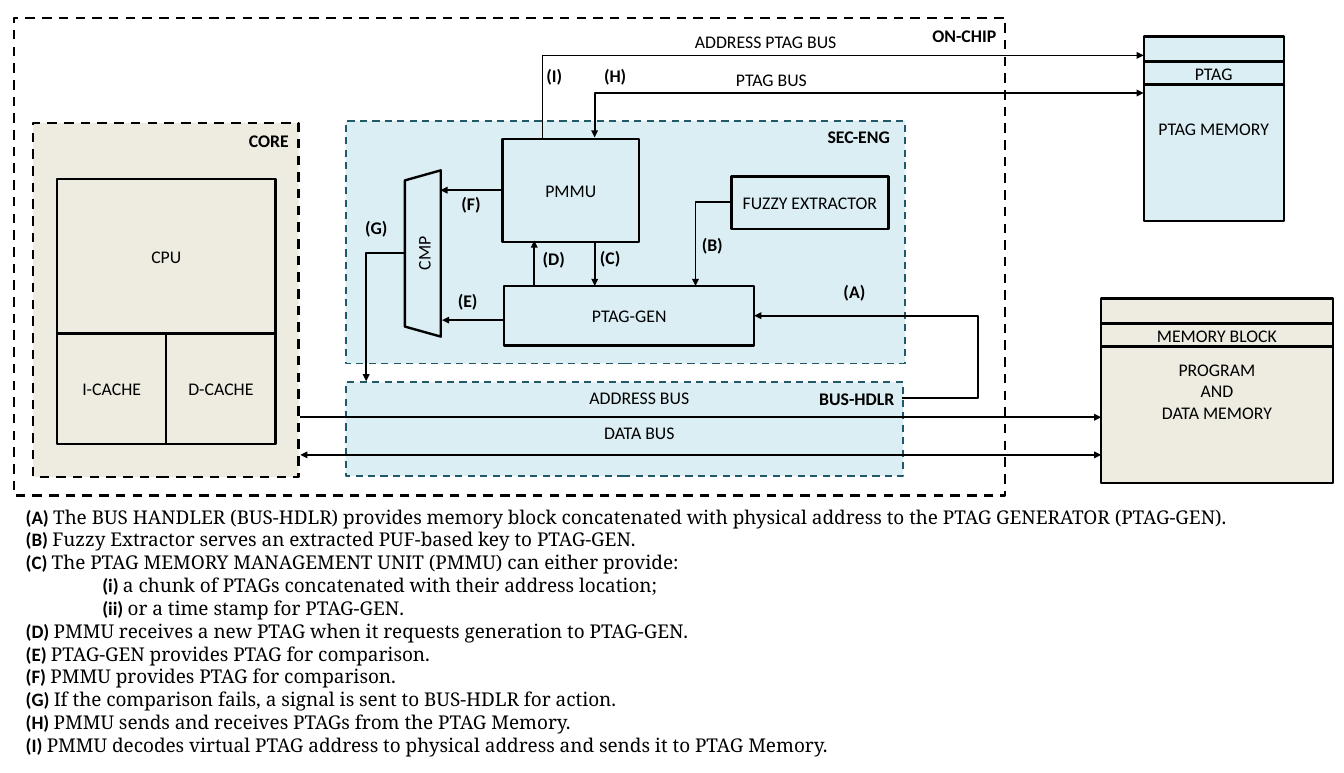
from lxml.etree import SubElement
from pptx import Presentation
from pptx.dml.color import RGBColor
from pptx.enum.dml import MSO_LINE_DASH_STYLE as DASH
from pptx.enum.shapes import MSO_CONNECTOR as LINK, MSO_SHAPE as SHAPE
from pptx.enum.text import MSO_ANCHOR as ANCHOR, MSO_AUTO_SIZE as FIT, PP_ALIGN as ALIGN
from pptx.oxml.ns import qn
from pptx.util import Cm, Pt

COLORS = {"ink": "000000", "sand": "EEECE1", "sky": "DBEEF4", "teal": "215968"}

deck = Presentation()
deck.slide_width, deck.slide_height = Cm(40), Cm(23.01)
slide = deck.slides.add_slide(deck.slide_layouts[1])
title = slide.shapes.title
title.element.getparent().remove(title.element)


def write(paragraph, text, size=15, bold=False, font="Calibri"):
    run = paragraph.add_run()
    run.text = text
    run.font.name, run.font.size, run.font.bold = font, Pt(size), bold
    run.font.color.rgb = RGBColor.from_string(COLORS["ink"])


def center_text(holder, text, bold=False):
    frame = holder.text_frame
    frame.word_wrap = True
    frame.vertical_anchor = ANCHOR.MIDDLE
    frame.margin_left = frame.margin_right = 0
    for number, line in enumerate(text.split("\n")):
        paragraph = frame.add_paragraph() if number else frame.paragraphs[0]
        paragraph.alignment = ALIGN.CENTER
        write(paragraph, line, bold=bold)


zones = [
    (0.99, 3.66, 7.9, 10.54, "sand", "ink", 2),
    (10.29, 11.38, 16.59, 2.79, "sky", "teal", 1.5),
    (10.29, 3.61, 16.64, 7.21, "sky", "teal", 1.5),
    (0.41, 0.53, 29.51, 14.22, None, "ink", 2),
]
units = [
    ("CPU", 1.7, 5.33, 6.5, 4.6, None),
    ("I-CACHE", 1.7, 9.93, 3.25, 3.28, None),
    ("D-CACHE", 4.95, 9.93, 3.25, 3.28, None),
    ("PROGRAM\nAND\nDATA MEMORY", 32.77, 8.89, 6.9, 5.49, "sand"),
    ("PTAG MEMORY", 34.04, 1.09, 4.17, 5.49, "sky"),
    ("MEMORY BLOCK", 32.77, 9.63, 6.9, 0.69, "sand"),
    ("PTAG", 34.04, 1.83, 4.17, 0.69, "sky"),
    ("PTAG-GEN", 15.01, 8.51, 7.44, 1.78, None),
    ("CMP", 10.11, 7.01, 4.95, 1.07, None),
    ("PMMU", 14.96, 4.14, 4.06, 3.07, None),
    ("FUZZY EXTRACTOR", 21.77, 5.26, 4.67, 1.55, None),
]
blocks = [("", *zone) for zone in zones] + [(*unit, "ink", 2) for unit in units]
for text, left, top, width, height, fill, edge, weight in blocks:
    kind = SHAPE.TRAPEZOID if text == "CMP" else SHAPE.RECTANGLE
    block = slide.shapes.add_shape(kind, Cm(left), Cm(top), Cm(width), Cm(height))
    block.shadow.inherit = False
    if fill:
        block.fill.solid()
        block.fill.fore_color.rgb = RGBColor.from_string(COLORS[fill])
    else:
        block.fill.background()
    block.line.color.rgb = RGBColor.from_string(COLORS[edge])
    block.line.width = Pt(weight)
    if text:
        center_text(block, text)
    else:
        block.line.dash_style = DASH.DASH
    if text == "CMP":
        block.rotation = 270
        block.adjustments[0] = 0.28

signals = [
    ("line", 8.94, 13.54, 32.77, 13.54, "both"),
    ("line", 8.92, 12.42, 32.77, 12.42, "end"),
    ("line", 15.01, 9.53, 13.16, 9.53, "end"),
    ("line", 15.9, 8.51, 15.9, 7.16, "end"),
    ("line", 14.96, 5.66, 13.11, 5.66, "end"),
    ("line", 17.7, 7.24, 17.7, 8.51, "end"),
    ("bentConnector3", 26.85, 11.86, 22.45, 9.4, "end"),
    ("bentConnector2", 21.77, 6.02, 20.7, 8.51, "end"),
    ("bentConnector2", 12.04, 7.54, 10.9, 11.35, "end"),
    ("bentConnector2", 34.04, 2.77, 17.7, 4.09, "both"),
    ("bentConnector2", 34.04, 1.65, 16.15, 4.14, "start"),
]
for route, x1, y1, x2, y2, arrows in signals:
    bend = LINK.STRAIGHT if route == "line" else LINK.ELBOW
    signal = slide.shapes.add_connector(bend, Cm(x1), Cm(y1), Cm(x2), Cm(y2))
    signal.line.color.rgb = RGBColor.from_string(COLORS["ink"])
    signal.line.width = Pt(1.5)
    properties = signal.element.spPr
    geometry = properties.find(qn("a:prstGeom"))
    geometry.set("prst", route)
    if route == "bentConnector3":
        SubElement(geometry.find(qn("a:avLst")), qn("a:gd"), name="adj1", fmla="val -51100")
    stroke = properties.find(qn("a:ln"))
    for tag, places in (("a:headEnd", ("start", "both")), ("a:tailEnd", ("end", "both"))):
        if arrows in places:
            SubElement(stroke, qn(tag), type="triangle", w="med", len="med")
    SubElement(properties, qn("a:effectLst"))

labels = [
    ("CORE", 8, 3.73, True),
    ("ON-CHIP", 28.7, 0.61, True),
    ("SEC-ENG", 25.56, 3.63, True),
    ("BUS-HDLR", 25.5, 11.4, True),
    ("PTAG BUS", 22.96, 1.93, False),
    ("ADDRESS PTAG BUS", 22.79, 0.79, False),
    ("DATA BUS", 19.03, 12.42, False),
    ("ADDRESS BUS", 19.03, 11.38, False),
    ("(A)", 25.43, 8.23, True),
    ("(B)", 21.2, 6.83, True),
    ("(C)", 18.16, 7.21, True),
    ("(D)", 16.48, 7.26, True),
    ("(E)", 13.92, 8.51, True),
    ("(F)", 14.02, 5.61, True),
    ("(G)", 11.2, 6.32, True),
    ("(H)", 18.31, 1.8, True),
    ("(I)", 16.5, 1.8, True),
]
for text, middle, top, bold in labels:
    width = 0.3 * len(text) + 0.6
    label = slide.shapes.add_textbox(Cm(middle - width / 2), Cm(top), Cm(width), Cm(0.89))
    center_text(label, text, bold)

steps = [
    ("(A)", "The BUS HANDLER (BUS-HDLR) provides memory block concatenated with "
            "physical address to the PTAG GENERATOR (PTAG-GEN)."),
    ("(B)", "Fuzzy Extractor serves an extracted PUF-based key to PTAG-GEN."),
    ("(C)", "The PTAG MEMORY MANAGEMENT UNIT (PMMU) can either provide:"),
    ("(i)", "a chunk of PTAGs concatenated with their address location;"),
    ("(ii)", "or a time stamp for PTAG-GEN."),
    ("(D)", "PMMU receives a new PTAG when it requests generation to PTAG-GEN."),
    ("(E)", "PTAG-GEN provides PTAG for comparison."),
    ("(F)", "PMMU provides PTAG for comparison."),
    ("(G)", "If the comparison fails, a signal is sent to BUS-HDLR for action."),
    ("(H)", "PMMU sends and receives PTAGs from the PTAG Memory."),
    ("(I)", "PMMU decodes virtual PTAG address to physical address and sends it to PTAG Memory."),
]
legend = slide.placeholders[1]
legend.left, legend.top, legend.width, legend.height = Cm(0.51), Cm(14.91), Cm(38.3), Cm(7.77)
legend_frame = legend.text_frame
legend_frame.auto_size = FIT.NONE
legend_frame.word_wrap = True
for number, (mark, meaning) in enumerate(steps):
    step = legend_frame.add_paragraph() if number else legend_frame.paragraphs[0]
    step.alignment = ALIGN.LEFT
    step.line_spacing = Pt(19.25)
    step.space_before = step.space_after = Pt(0)
    layout = step._p.get_or_add_pPr()
    layout.set("marL", str(Cm(2.28) if mark in ("(i)", "(ii)") else 0))
    layout.set("indent", "0")
    SubElement(layout, qn("a:buNone"))
    write(step, mark + " ", 16, True)
    write(step, meaning, 16, False, "Noto Serif")

deck.save("out.pptx")
